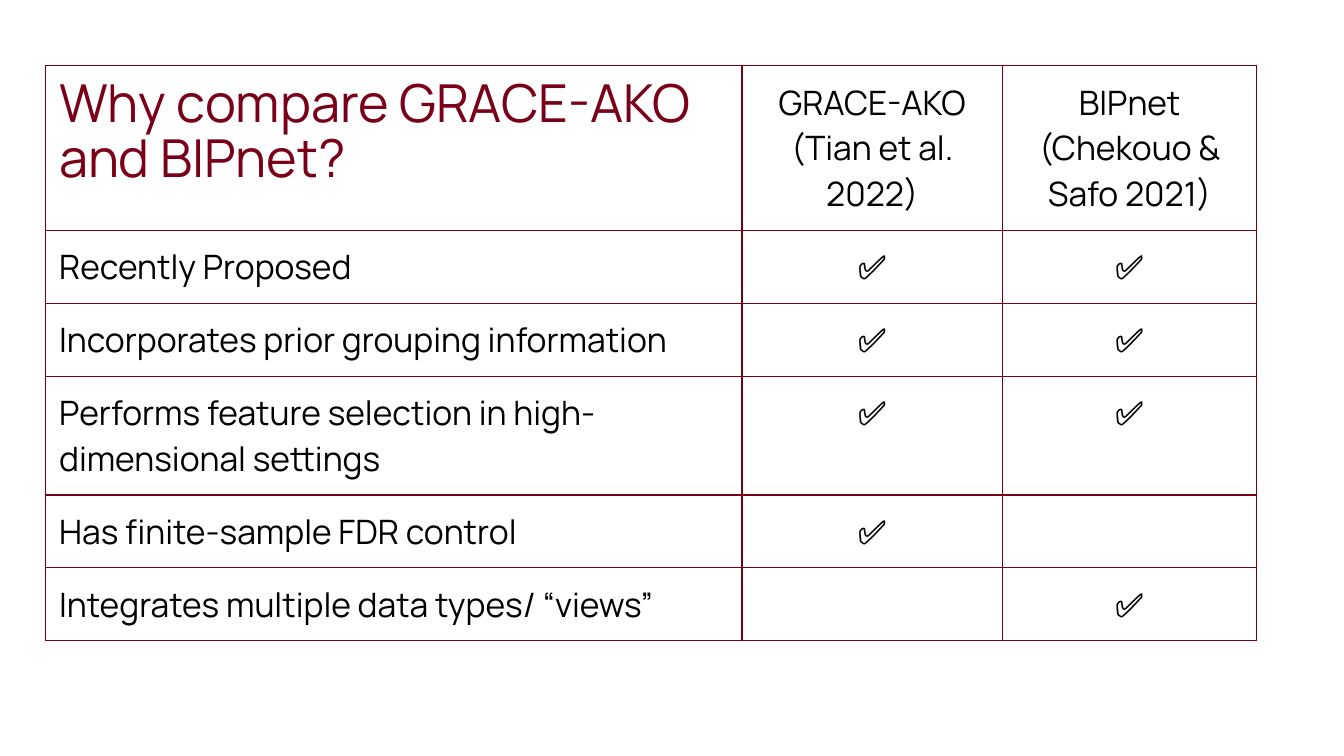
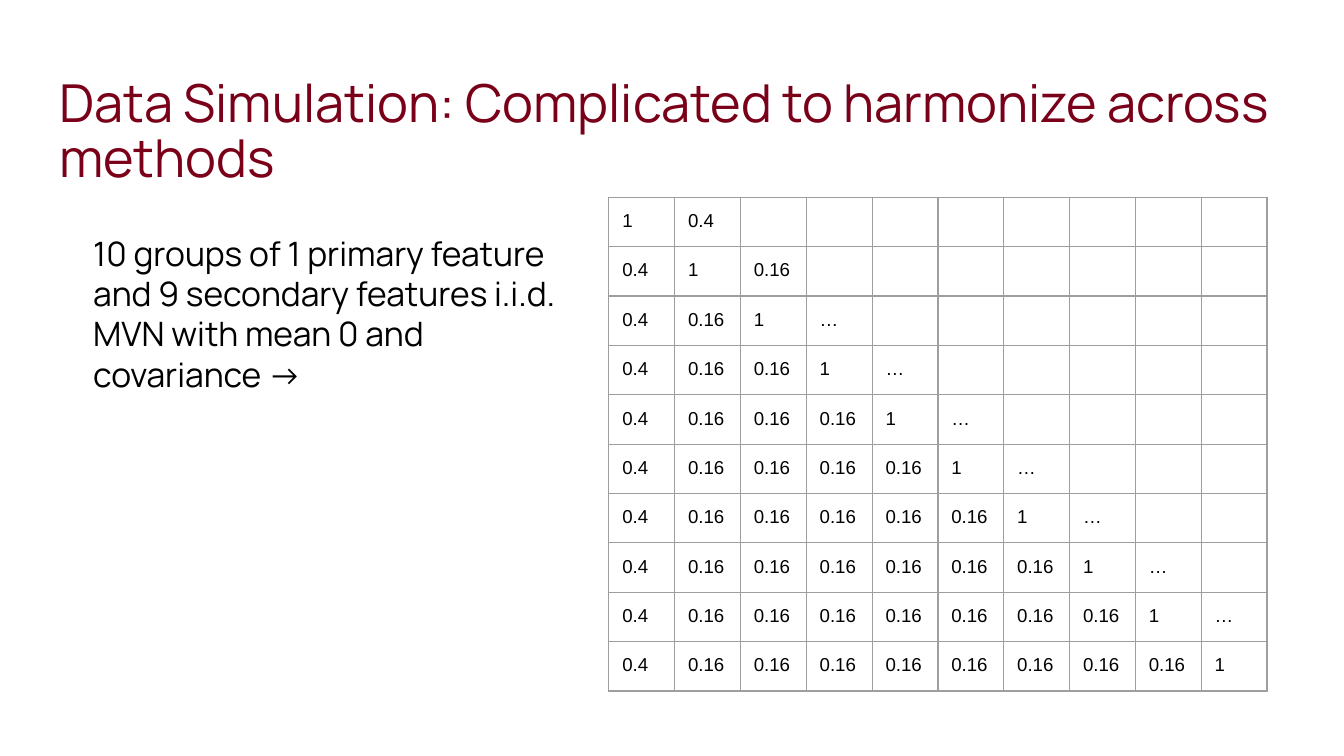
from lxml import etree
from pptx import Presentation, util as u
from pptx.dml.color import RGBColor
from pptx.enum import text
from pptx.oxml import ns

MAROON, BLACK, GREY = "7A0019", "000000", "9E9E9E"
TITLE = {"name": "Manrope", "size": u.Pt(28), "color": MAROON}
BODY = {"name": "Manrope", "size": u.Pt(18), "color": BLACK}
MATRIX = {"name": "Arial", "size": u.Pt(10), "color": BLACK}
MARGIN = u.Inches(0.1)
MARGINS = {f"margin_{side}": MARGIN for side in ("left", "right", "top", "bottom")}


def rgb(value):
    return RGBColor.from_string(value)


def set_values(target, values):
    for name, value in values.items():
        if name == "color":
            target.color.rgb = rgb(value)
        else:
            setattr(target, name, value)


def add_run(paragraph, words, font):
    run = paragraph.add_run()
    run.text = words
    set_values(run.font, font)


def draw_borders(cell, color, points=0.75):
    properties = cell._tc.get_or_add_tcPr()
    for position, side in enumerate(("lnL", "lnR", "lnT", "lnB")):
        line = etree.Element(ns.qn(f"a:{side}"), w=str(u.Pt(points)))
        fill = etree.SubElement(line, ns.qn("a:solidFill"))
        etree.SubElement(fill, ns.qn("a:srgbClr"), val=color)
        properties.insert(position, line)


class Deck:
    """Holds the current slide; all lengths are percent of the slide's size."""

    def __init__(self):
        self.presentation = Presentation()
        self.presentation.slide_width = u.Inches(10)
        self.presentation.slide_height = u.Inches(5.625)
        self.slide = None

    def across(self, share):
        return round(self.presentation.slide_width * share / 100)

    def down(self, share):
        return round(self.presentation.slide_height * share / 100)

    def box(self, left, top, width, height):
        return self.across(left), self.down(top), self.across(width), self.down(height)

    def fill_frame(self, frame, words, font, line_spacing):
        set_values(frame, {"word_wrap": True, "vertical_anchor": text.MSO_ANCHOR.TOP,
                           **MARGINS})
        paragraph = frame.paragraphs[0]
        set_values(paragraph, {"alignment": text.PP_ALIGN.LEFT,
                               "line_spacing": line_spacing})
        add_run(paragraph, words, font)
        return paragraph

    def add_slide(self, title, width, height):
        self.slide = self.presentation.slides.add_slide(self.presentation.slide_layouts[5])
        shape = self.slide.shapes.title
        shape.left, shape.top, shape.width, shape.height = self.box(3.4, 8.7, width, height)
        self.fill_frame(shape.text_frame, title, TITLE, line_spacing=0.87)

    def add_text(self, words, box, indent):
        shape = self.slide.shapes.add_textbox(*self.box(*box))
        paragraph = self.fill_frame(shape.text_frame, words, BODY, line_spacing=1.0)
        paragraph._p.get_or_add_pPr().set("marL", str(self.across(indent)))

    def add_table(self, rows, box, widths, heights, font, border, centred=False):
        """Draw a plain bordered table; centred applies to all but the first column."""
        shape = self.slide.shapes.add_table(len(rows), len(widths), *self.box(*box))
        table = shape.table
        table.first_row = table.horz_banding = False
        for column, width in zip(table.columns, widths):
            column.width = self.across(width)
        for row, height, values in zip(table.rows, heights, rows):
            row.height = self.down(height)
            for index, (cell, value) in enumerate(zip(row.cells, values)):
                cell.fill.background()
                draw_borders(cell, border)
                set_values(cell, MARGINS)
                paragraph = cell.text_frame.paragraphs[0]
                if centred and index:
                    paragraph.alignment = text.PP_ALIGN.CENTER
                if value:
                    add_run(paragraph, value, font)
                else:
                    etree.SubElement(paragraph._p, ns.qn("a:endParaRPr"),
                                     sz=str(round(font["size"].pt * 100)))


def covariance(row, column):
    if row == column:
        return "1"
    if column > row + 1:
        return ""
    if column == row + 1:
        return {0: "0.4", 1: "0.16"}.get(row, "…")
    return "0.16" if column else "0.4"


def main():
    deck = Deck()

    deck.add_slide("Why compare GRACE-AKO and BIPnet?", 51.8, 30.8)
    yes = "✅"
    comparison = [
        ("", "GRACE-AKO (Tian et al. 2022)", "BIPnet (Chekouo & Safo 2021)"),
        ("Recently Proposed", yes, yes),
        ("Incorporates prior grouping information", yes, yes),
        ("Performs feature selection in high-dimensional settings", yes, yes),
        ("Has finite-sample FDR control", yes, ""),
        ("Integrates multiple data types/ “views”", "", yes),
    ]
    deck.add_table(comparison, (3.4, 8.7, 90, 69.7), (51.8, 19.4, 18.9),
                   (19.9, 7.8, 7.1, 12.1, 6.2, 8.9), BODY, MAROON, centred=True)

    deck.add_slide("Data Simulation: Complicated to harmonize across methods", 93.2, 21)
    deck.add_text("10 groups of 1 primary feature and 9 secondary features i.i.d. "
                  "MVN with mean 0 and covariance ->", (4.7, 29, 38.2, 28.3), indent=1.25)
    size = 10
    matrix = [[covariance(row, column) for column in range(size)] for row in range(size)]
    deck.add_table(matrix, (45.3, 26.1, 49, 65.2), [4.9] * size, [5.7] * size, MATRIX, GREY)

    deck.presentation.save("out.pptx")


if __name__ == "__main__":
    main()
